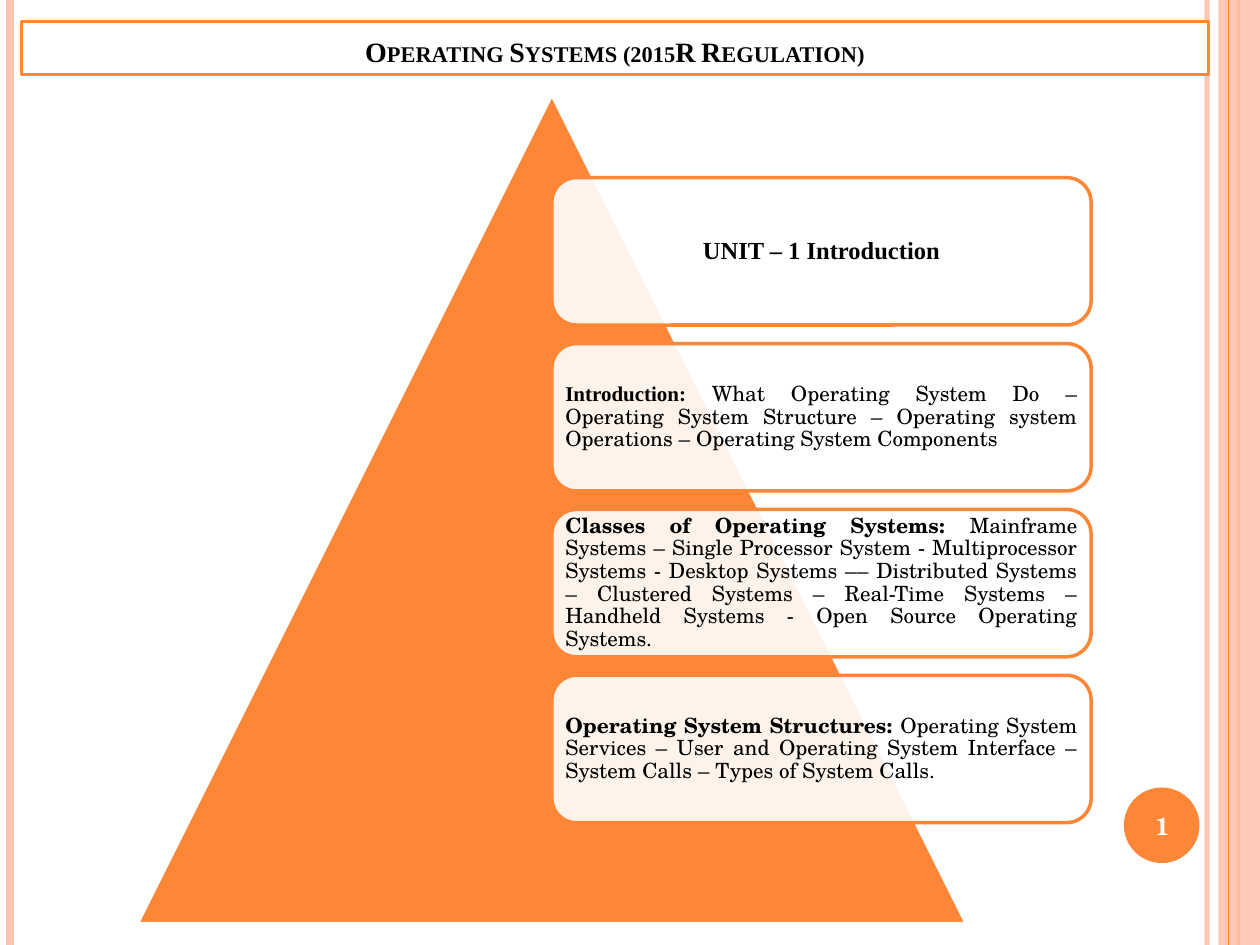
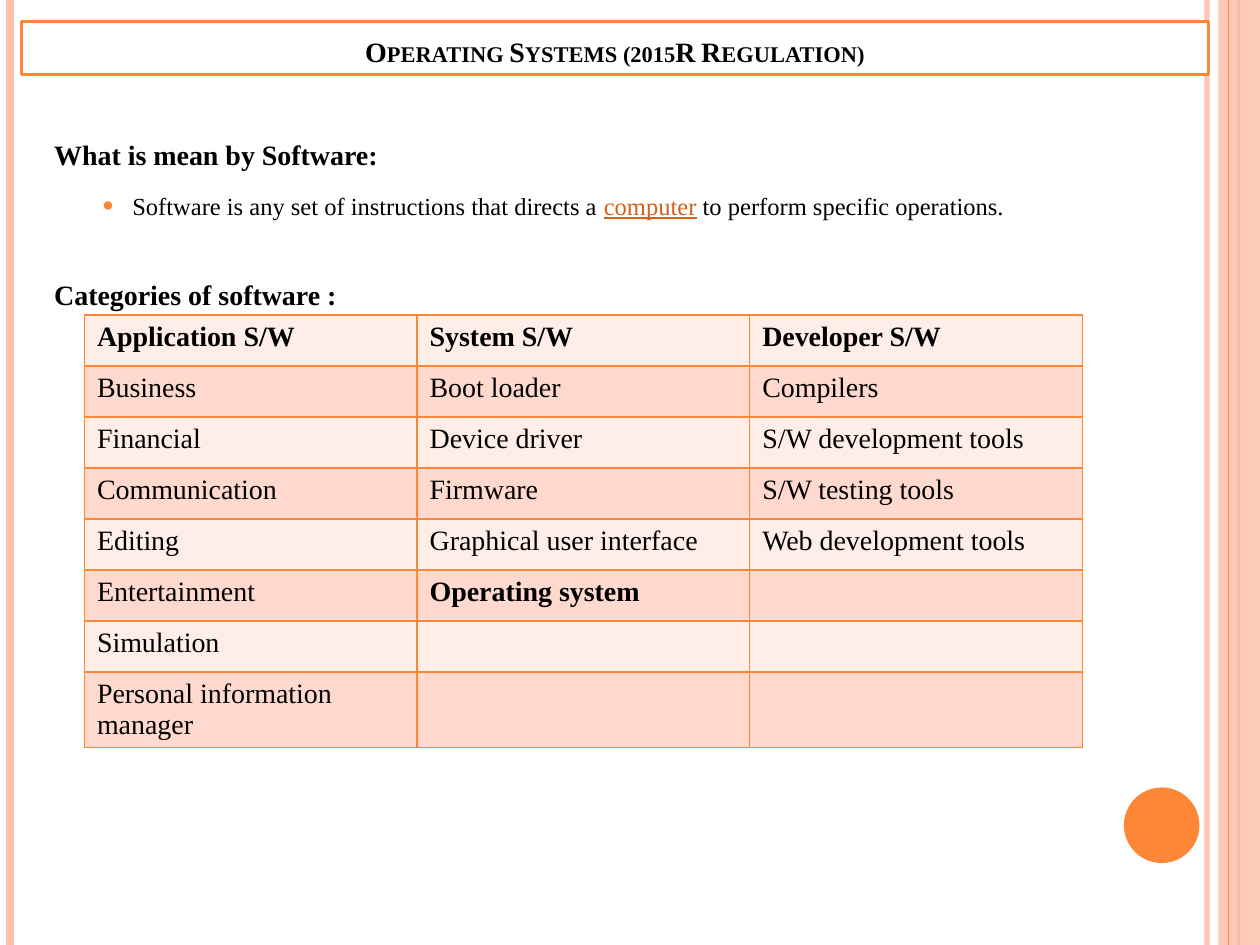
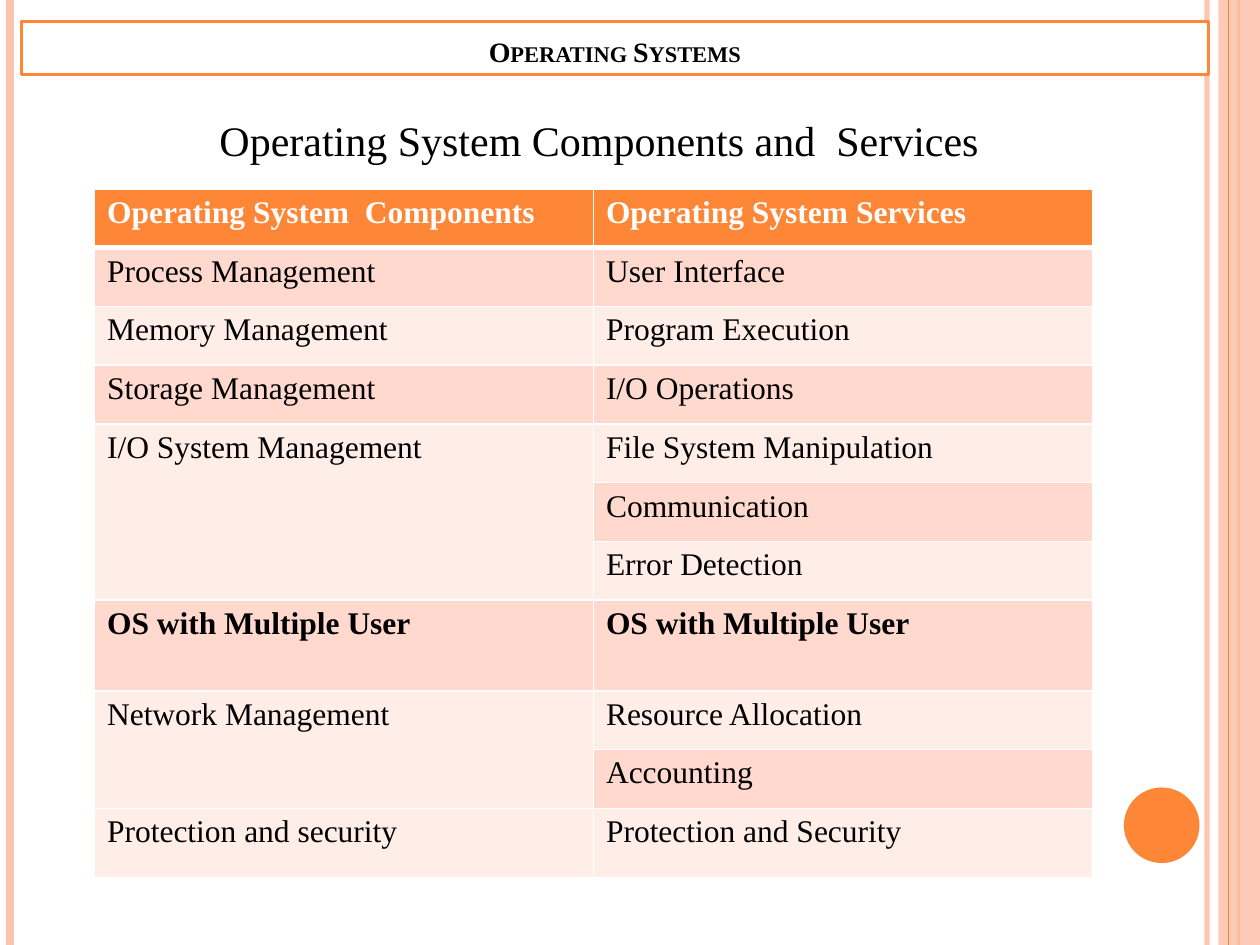
from dataclasses import dataclass

from lxml.etree import SubElement
from pptx import Presentation
from pptx.dml.color import RGBColor
from pptx.enum.shapes import MSO_CONNECTOR, MSO_SHAPE
from pptx.enum.text import MSO_ANCHOR as Anchor, PP_ALIGN as Align
from pptx.oxml.ns import qn
from pptx.util import Inches, Pt


@dataclass(frozen=True)
class Theme:
    accent: RGBColor = RGBColor.from_string("FE8637")
    stripe: RGBColor = RGBColor.from_string("FEC3AE")
    row_dark: RGBColor = RGBColor.from_string("FFD9CE")
    row_light: RGBColor = RGBColor.from_string("FFEDE8")
    term: RGBColor = RGBColor.from_string("D2611C")
    black: RGBColor = RGBColor.from_string("000000")
    white: RGBColor = RGBColor.from_string("FFFFFF")
    serif: str = "Times New Roman"
    schola: str = "TeX Gyre Schola"
    heading: Pt = Pt(16)
    topic: Pt = Pt(24)
    body: Pt = Pt(14)
    card: Pt = Pt(12)
    services: Pt = Pt(18)


theme = Theme()


def write_runs(paragraph, runs, **shared):
    """Add (text, format) runs; a run's own format overrides the shared one."""
    base = {"name": theme.serif, "size": theme.heading, "bold": False, "rgb": theme.black}
    for text, own in runs:
        run = paragraph.add_run()
        run.text = text
        values = {**base, **shared, **own}
        run.font.color.rgb = values.pop("rgb")
        for attribute, value in values.items():
            setattr(run.font, attribute, value)


def set_opacity(shape, percent):
    """Apply opacity to the first colour of a shape's fill or line."""
    colour = shape.element.xpath("p:spPr//a:srgbClr")[0]
    SubElement(colour, qn("a:alpha"), val=str(percent * 1000))


prs = Presentation()
prs.slide_width, prs.slide_height = Inches(10), Inches(7.5)
TITLE_ONLY, TITLE_AND_BODY = prs.slide_layouts[5], prs.slide_layouts[1]

# Slides and their boxed titles
COURSE = "Operating Systems"
slides = []
for layout, heading in [
    (TITLE_ONLY, f"{COURSE} (2015R Regulation)"),
    (TITLE_AND_BODY, f"{COURSE} (2015R Regulation)"),
    (TITLE_AND_BODY, COURSE),
]:
    slide = prs.slides.add_slide(layout)
    slides.append(slide)
    title = slide.shapes.title
    title.left, title.top = Inches(0.17), Inches(0.17)
    title.width, title.height = Inches(9.42), Inches(0.42)
    title.fill.solid()
    title.fill.fore_color.rgb = theme.white
    title.line.color.rgb = theme.accent
    title.line.width = Pt(2)
    title.text_frame.vertical_anchor = Anchor.BOTTOM
    title_line = title.text_frame.paragraphs[0]
    title_line.alignment = Align.CENTER
    write_runs(title_line, [(heading, {})], bold=True)
    title_line.runs[0].font.element.set("cap", "small") if hasattr(
        title_line.runs[0].font, "element"
    ) else title_line.runs[0]._r.get_or_add_rPr().set("cap", "small")
unit_slide, software_slide, services_slide = slides

# Edge stripes and number badge, drawn once and moved to the master
stripes = []
for x, colour, weight in [
    (9.58, theme.stripe, 3),
    (0.08, theme.stripe, 4.5),
    (9.83, theme.accent, 1.5),
    (9.75, theme.accent, 0.75),
]:
    stripe = unit_slide.shapes.add_connector(
        MSO_CONNECTOR.STRAIGHT, Inches(x), 0, Inches(x), prs.slide_height
    )
    stripe.line.color.rgb = colour
    stripe.line.width = Pt(weight)
    SubElement(stripe.element.spPr, qn("a:effectLst"))
    stripes.append(stripe)
set_opacity(stripes[0], 93)

solids = []
for preset, box, colour in [
    (MSO_SHAPE.RECTANGLE, (9.67, 0, 0.33, 7.5), theme.stripe),
    (MSO_SHAPE.OVAL, (8.92, 6.25, 0.6, 0.6), theme.accent),
]:
    solid = unit_slide.shapes.add_shape(preset, *map(Inches, box))
    solid.shadow.inherit = False
    solid.fill.solid()
    solid.fill.fore_color.rgb = colour
    solid.line.fill.background()
    solids.append(solid)
band, badge = solids
set_opacity(band, 87)

master_tree = prs.slide_master.element.cSld.spTree
for number, part in enumerate([*stripes[:3], band, stripes[3], badge], start=20):
    part.element.xpath(".//p:cNvPr")[0].set("id", str(number))
    master_tree.append(part.element)

# Slide 1: pyramid with the unit's topics
pyramid = unit_slide.shapes.add_shape(
    MSO_SHAPE.ISOSCELES_TRIANGLE, Inches(1.09), Inches(0.75), Inches(6.58), Inches(6.58)
)
pyramid.shadow.inherit = False
pyramid.fill.solid()
pyramid.fill.fore_color.rgb = theme.accent
pyramid.line.color.rgb = theme.white
pyramid.line.width = Pt(2)

FIRST_CARD, LAST_CARD = 1.41, 5.36
topics = [
    [("UNIT – 1 Introduction", {"name": theme.serif, "size": theme.body, "bold": True})],
    [
        ("Introduction: ", {"name": theme.serif, "bold": True}),
        ("What Operating System Do – Operating System Structure – Operating system "
         "Operations – Operating System Components", {}),
    ],
    [
        ("Classes of Operating Systems: ", {"bold": True}),
        ("Mainframe Systems – Single Processor System - Multiprocessor Systems - "
         "Desktop Systems –– Distributed Systems – Clustered Systems – Real-Time "
         "Systems – Handheld Systems - Open Source Operating Systems.", {}),
    ],
    [
        ("Operating System Structures: ", {"bold": True}),
        ("Operating System Services – User and Operating System Interface – "
         "System Calls – Types of System Calls.", {}),
    ],
]
card_pitch = (LAST_CARD - FIRST_CARD) / (len(topics) - 1)
for index, topic in enumerate(topics):
    card = unit_slide.shapes.add_shape(
        MSO_SHAPE.ROUNDED_RECTANGLE,
        Inches(4.38), Inches(FIRST_CARD + index * card_pitch), Inches(4.28), Inches(1.17),
    )
    card.shadow.inherit = False
    card.fill.solid()
    card.fill.fore_color.rgb = theme.white
    set_opacity(card, 90)
    card.line.color.rgb = theme.accent
    card.line.width = Pt(2)
    frame = card.text_frame
    frame.word_wrap = True
    frame.vertical_anchor = Anchor.MIDDLE
    for side in ("left", "top", "right", "bottom"):
        setattr(frame, f"margin_{side}", Inches(0.05))
    card_text = frame.paragraphs[0]
    card_text.alignment = Align.JUSTIFY if index else Align.CENTER
    card_text.line_spacing = 0.9
    write_runs(card_text, topic, name=theme.schola, size=theme.card)

page_number = unit_slide.shapes.add_textbox(
    Inches(8.89), Inches(6.27), Inches(0.67), Inches(0.57)
).text_frame
page_number.word_wrap = True
page_number.vertical_anchor = Anchor.MIDDLE
page_number.paragraphs[0].alignment = Align.CENTER
write_runs(page_number.paragraphs[0], [("1", {})],
           name=theme.schola, size=theme.body, bold=True, rgb=theme.white)

# Slides 2 and 3: body text as (runs, font format, paragraph format, has bullet)
software_text = [
    ([("What is mean by Software:", {})], {"bold": True}, {"space_before": Pt(0)}, False),
    (
        [
            ("Software is any set of instructions that directs a ", {}),
            ("computer", {"rgb": theme.term, "underline": True}),
            (" to perform specific operations.", {}),
        ],
        {"size": theme.body},
        {"level": 1, "line_spacing": 1.5, "space_before": Pt(2.8)},
        True,
    ),
    ([("Categories of software :", {})], {"bold": True}, {"space_before": Pt(33)}, False),
]
services_text = [
    (
        [("Operating System Components and  Services", {})],
        {"size": theme.topic},
        {"alignment": Align.CENTER, "space_before": Pt(0)},
        False,
    ),
]
for slide, box, lines in [
    (software_slide, (0.33, 1.04, 9.25, 6.21), software_text),
    (services_slide, (0.42, 0.86, 8.67, 6.47), services_text),
]:
    body = slide.placeholders[1]
    body.left, body.top, body.width, body.height = map(Inches, box)
    for index, (runs, font_format, paragraph_format, has_bullet) in enumerate(lines):
        frame = body.text_frame
        paragraph = frame.add_paragraph() if index else frame.paragraphs[0]
        for attribute, value in paragraph_format.items():
            setattr(paragraph, attribute, value)
        properties = paragraph._p.get_or_add_pPr()
        margin, indent = (0.62, -0.24) if has_bullet else (0, 0)
        properties.set("marL", str(Inches(margin)))
        properties.set("indent", str(Inches(indent)))
        if has_bullet:
            bullet_colour = SubElement(properties, qn("a:buClr"))
            SubElement(bullet_colour, qn("a:srgbClr"), val=str(theme.accent))
            SubElement(properties, qn("a:buSzPct"), val="80000")
            SubElement(properties, qn("a:buChar"), char="●")
        else:
            SubElement(properties, qn("a:buNone"))
        write_runs(paragraph, runs, **font_format)

# Slides 2 and 3: tables
software_rows = [
    ("Application S/W", "System S/W", "Developer S/W"),
    ("Business", "Boot loader", "Compilers"),
    ("Financial", "Device driver", "S/W development tools"),
    ("Communication", "Firmware", "S/W testing tools"),
    ("Editing", "Graphical user interface", "Web development tools"),
    ("Entertainment", "Operating system", ""),
    ("Simulation", "", ""),
    ("Personal information manager", "", ""),
]
services_rows = [
    ("Operating System  Components", "Operating System Services"),
    ("Process Management", "User Interface"),
    ("Memory Management", "Program Execution"),
    ("Storage Management", "I/O Operations"),
    ("I/O System Management", "File System Manipulation"),
    ("", "Communication"),
    ("", "Error Detection"),
    ("OS with Multiple User", "OS with Multiple User"),
    ("Network Management", "Resource Allocation"),
    ("", "Accounting"),
    ("Protection and security", "Protection and Security"),
]
EMPHASIS = {"Operating system", "OS with Multiple User"}
HEADER_RULE = {(0, "lnB"), (1, "lnT")}
tables = []
for slide, rows, box, size, border, header_fill, header_text, header_rule in [
    (software_slide, software_rows, (0.67, 2.5, 7.92, 3.24), theme.heading,
     theme.accent, theme.row_light, theme.black, 1),
    (services_slide, services_rows, (0.75, 1.5, 7.92, 5.13), theme.services,
     theme.white, theme.accent, theme.white, 3),
]:
    table = slide.shapes.add_table(len(rows), len(rows[0]), *map(Inches, box)).table
    tables.append(table)
    for r, row in enumerate(rows):
        for c, text in enumerate(row):
            cell = table.cell(r, c)
            cell_properties = cell._tc.get_or_add_tcPr()
            for side in ("lnL", "lnR", "lnT", "lnB"):
                weight = header_rule if (r, side) in HEADER_RULE else 1
                edge = SubElement(cell_properties, qn(f"a:{side}"), w=str(Pt(weight)))
                edge_fill = SubElement(edge, qn("a:solidFill"))
                SubElement(edge_fill, qn("a:srgbClr"), val=str(border))
            cell.fill.solid()
            band_fill = theme.row_dark if r % 2 else theme.row_light
            cell.fill.fore_color.rgb = band_fill if r else header_fill
            write_runs(
                cell.text_frame.paragraphs[0], [(text, {})], size=size,
                bold=r == 0 or text in EMPHASIS, rgb=theme.black if r else header_text,
            )

software_table, services_table = tables
software_table.rows[7].height = Inches(0.6)
services_table.rows[7].height = Inches(0.72)
services_table.rows[10].height = Inches(0.55)
for first, last in [(4, 6), (8, 9)]:
    services_table.cell(first, 0).merge(services_table.cell(last, 0))

prs.save("out.pptx")
